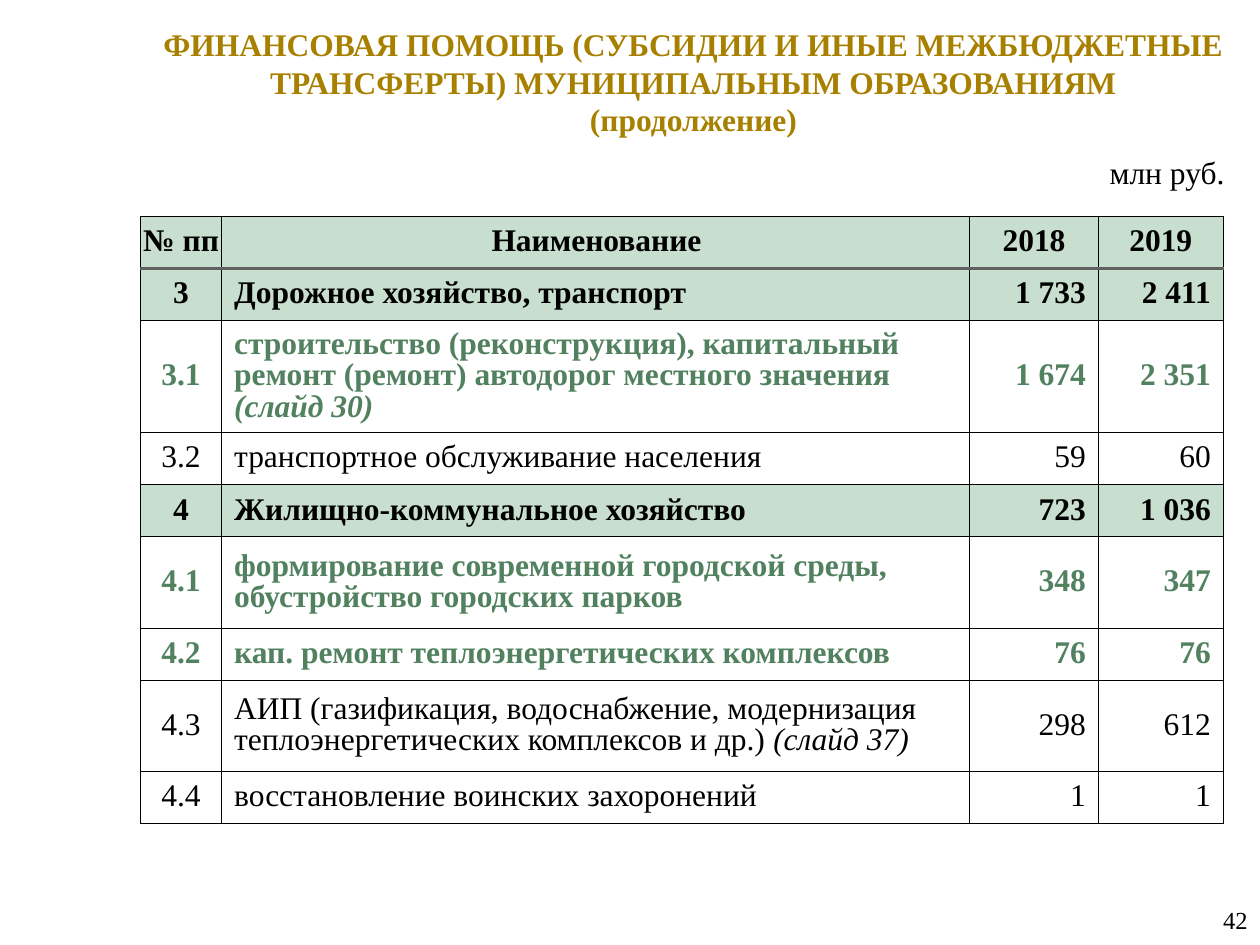
from dataclasses import dataclass

from lxml import etree
from pptx import Presentation
from pptx.dml.color import RGBColor
from pptx.enum.text import MSO_ANCHOR, PP_ALIGN
from pptx.oxml.ns import qn
from pptx.util import Cm, Pt

LEFT, MID, RIGHT = PP_ALIGN.LEFT, PP_ALIGN.CENTER, PP_ALIGN.RIGHT
TOP, CENTRE = MSO_ANCHOR.TOP, MSO_ANCHOR.MIDDLE


@dataclass
class Theme:
    font: str = "Times New Roman"
    gold: str = "A88000"
    ink: str = "000000"
    green: str = "51815F"
    band: str = "C8DECE"
    rule: str = "606060"
    body: int = 18
    small: int = 14
    thin: float = 0.5
    thick: float = 1.5


theme = Theme()


def style(para, align, color, bold=False, size=theme.body):
    para.alignment = align
    for run in para.runs:
        run.font.name = theme.font
        run.font.size = Pt(size)
        run.font.bold = bold
        run.font.color.rgb = RGBColor.from_string(color)


def border(cell, side, color, width):
    line = etree.SubElement(cell._tc.get_or_add_tcPr(), qn(f"a:ln{side}"), w=str(Pt(width)))
    fill = etree.SubElement(line, qn("a:solidFill"))
    etree.SubElement(fill, qn("a:srgbClr"), val=color)


deck = Presentation()
deck.slide_width, deck.slide_height = Cm(25.4), Cm(19.05)
slide = deck.slides.add_slide(deck.slide_layouts[6])

# Title, unit and page number
title = ("ФИНАНСОВАЯ ПОМОЩЬ (СУБСИДИИ И ИНЫЕ МЕЖБЮДЖЕТНЫЕ "
         "ТРАНСФЕРТЫ) МУНИЦИПАЛЬНЫМ ОБРАЗОВАНИЯМ\v(продолжение)")
labels = [
    (title, (2.87, 0.3, 22.22, 2.69), CENTRE, MID, theme.gold, True, theme.body),
    ("млн руб.", (22.12, 2.97, 2.97, 1.02), TOP, LEFT, theme.ink, False, theme.body),
    ("42", (19.69, 18.03, 5.71, 1.02), CENTRE, RIGHT, theme.ink, False, theme.small),
]
for text, place, anchor, align, color, bold, size in labels:
    frame = slide.shapes.add_textbox(*map(Cm, place)).text_frame
    frame.word_wrap = True
    frame.vertical_anchor = anchor
    frame.text = text
    style(frame.paragraphs[0], align, color, bold, size)

# Table rows: kind, height, cell texts, italic note
looks = {  # kind: text colour, bold, filled
    "head": (theme.ink, True, True),
    "group": (theme.ink, True, True),
    "key": (theme.green, True, False),
    "plain": (theme.ink, False, False),
}
one, two, three = 1.05, 1.84, 2.26
rows = [
    ("head", one, ("№ пп", "Наименование", "2018", "2019"), ""),
    ("group", one, ("3", "Дорожное хозяйство, транспорт", "1 733", "2 411"), ""),
    ("key", three, ("3.1", "строительство (реконструкция), капитальный ремонт (ремонт) "
                    "автодорог местного значения ", "1 674", "2 351"), "(слайд 30)"),
    ("plain", one, ("3.2", "транспортное обслуживание населения", "59", "60"), ""),
    ("group", one, ("4", "Жилищно-коммунальное хозяйство", "723", "1 036"), ""),
    ("key", two, ("4.1", "формирование современной городской среды, "
                  "обустройство городских парков", "348", "347"), ""),
    ("key", one, ("4.2", "кап. ремонт теплоэнергетических комплексов", "76", "76"), ""),
    ("plain", two, ("4.3", "АИП (газификация, водоснабжение, модернизация "
                    "теплоэнергетических комплексов и др.) ", "298", "612"), "(слайд 37)"),
    ("plain", one, ("4.4", "восстановление воинских захоронений", "1", "1"), ""),
]
widths = (1.64, 15.08, 2.59, 2.52)
aligns = (MID, LEFT, RIGHT, RIGHT)

# Table grid
high = sum(row[1] for row in rows)
table = slide.shapes.add_table(len(rows), len(widths), Cm(2.83), Cm(4.36),
                               Cm(sum(widths)), Cm(high)).table
for col, width in zip(table.columns, widths):
    col.width = Cm(width)

# Table cells
for r, (kind, height, texts, note) in enumerate(rows):
    table.rows[r].height = Cm(height)
    color, bold, filled = looks[kind]
    head = kind == "head"
    for c, text in enumerate(texts):
        cell = table.cell(r, c)
        cell.vertical_anchor = CENTRE
        cell.margin_top = cell.margin_bottom = Cm(0.1)
        cell.margin_left = cell.margin_right = Cm(0.03 if head else 0.25)
        if c == 1:
            cell.margin_right = Cm(0)
        para = cell.text_frame.paragraphs[0]
        para.text = text
        para.line_spacing = 0.9
        if c == 1 and note:
            extra = para.add_run()
            extra.text = note
            extra.font.italic = True
        style(para, MID if head else aligns[c], color, bold)
        for side in "LRTB":
            heavy = (r, side) in ((0, "B"), (1, "T"))
            border(cell, side, theme.rule if heavy else theme.ink,
                   theme.thick if heavy else theme.thin)
        if filled:
            cell.fill.solid()
            cell.fill.fore_color.rgb = RGBColor.from_string(theme.band)
        else:
            cell.fill.background()

deck.save("out.pptx")
